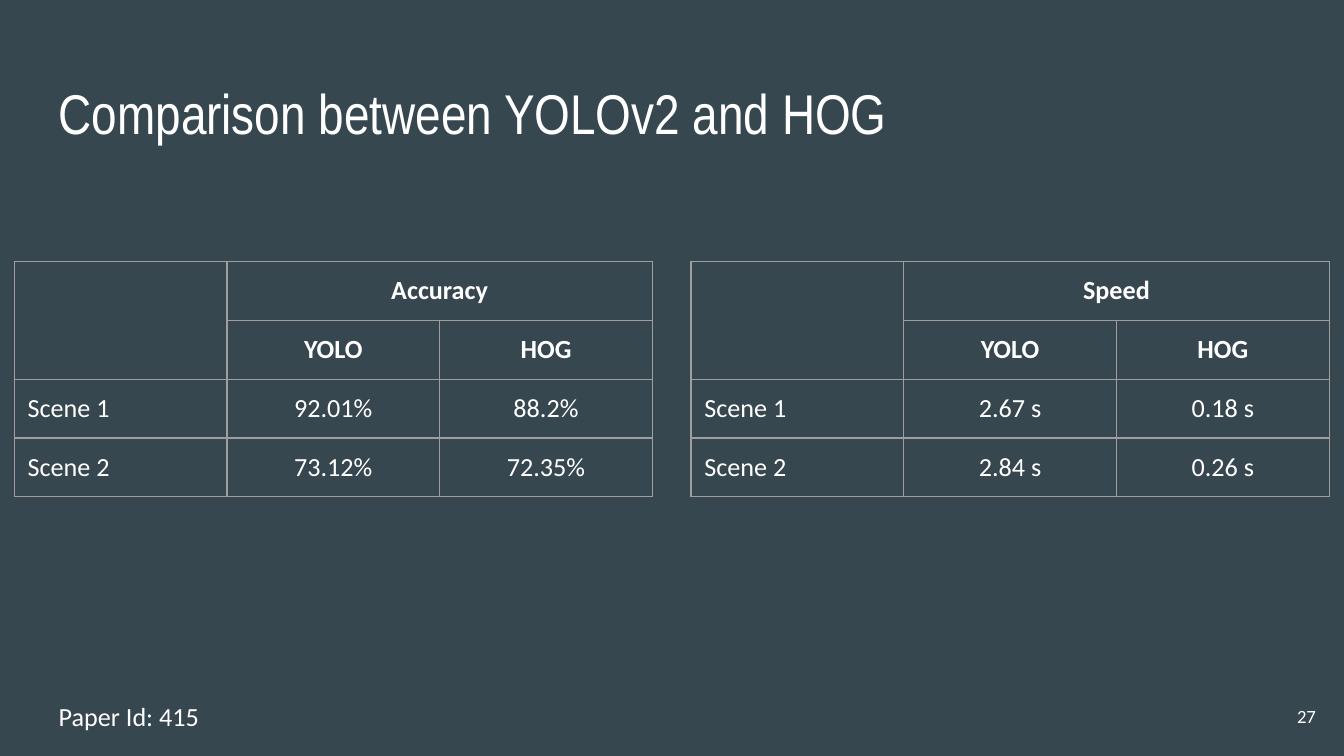
from pptx import Presentation
from pptx.dml.color import RGBColor
from pptx.enum import text
from pptx.oxml import parse_xml
from pptx.oxml.ns import nsdecls
from pptx.util import Cm, Pt

BACKGROUND, WHITE, BORDER = "37474F", "FFFFFF", "9E9E9E"
PADDING = Cm(0.25)
LEFT, CENTER, RIGHT = text.PP_ALIGN.LEFT, text.PP_ALIGN.CENTER, text.PP_ALIGN.RIGHT
TOP, MIDDLE = text.MSO_ANCHOR.TOP, text.MSO_ANCHOR.MIDDLE

TITLE = "Comparison between YOLOv2 and HOG"
PAPER_ID = "Paper Id: 415"
PAGE_NUMBER = "27"
METHODS = ["YOLO", "HOG"]
MEASURES = [
    ("Accuracy", [("Scene 1", "92.01%", "88.2%"), ("Scene 2", "73.12%", "72.35%")]),
    ("Speed", [("Scene 1", "2.67 s", "0.18 s"), ("Scene 2", "2.84 s", "0.26 s")]),
]

TABLE_LEFT, TABLE_TOP, TABLE_STEP = 0.27, 4.95, 12.79
COLUMN_WIDTH, ROW_HEIGHT = 4.02, 1.11


def color(hex_code):
    return RGBColor.from_string(hex_code)


def pad(box):
    """Give a text frame or table cell the same inset on every side."""
    box.margin_left = box.margin_right = box.margin_top = box.margin_bottom = PADDING


def write(frame, wording, size, align=LEFT, bold=False, font_name="Calibri"):
    frame.text = wording
    paragraph = frame.paragraphs[0]
    paragraph.alignment = align
    font = paragraph.runs[0].font
    font.name, font.size, font.bold = font_name, Pt(size), bold
    font.color.rgb = color(WHITE)


def place(shape, left, top, width, height, anchor=TOP):
    shape.left, shape.top = Cm(left), Cm(top)
    shape.width, shape.height = Cm(width), Cm(height)
    frame = shape.text_frame
    frame.word_wrap = True
    frame.auto_size = text.MSO_AUTO_SIZE.NONE
    frame.vertical_anchor = anchor
    pad(frame)
    return frame


def outline(cell):
    """Clear the cell's fill and draw a thin line on its four sides."""
    cell.fill.background()
    properties = cell._tc.get_or_add_tcPr()
    for index, side in enumerate(("lnL", "lnR", "lnT", "lnB")):
        properties.insert(index, parse_xml(
            f'<a:{side} {nsdecls("a")} w="{Pt(0.75)}"><a:solidFill>'
            f'<a:srgbClr val="{BORDER}"/></a:solidFill></a:{side}>'))


def add_measure_table(slide, left, measure, scenes):
    rows = [("", measure, ""), ("", *METHODS), *scenes]
    columns = len(rows[0])
    table = slide.shapes.add_table(
        len(rows), columns, Cm(left), Cm(TABLE_TOP),
        Cm(COLUMN_WIDTH * columns), Cm(ROW_HEIGHT * len(rows))).table
    table.first_row = table.horz_banding = False
    for r, row in enumerate(rows):
        for c, wording in enumerate(row):
            cell = table.cell(r, c)
            outline(cell)
            if wording:
                pad(cell)
                write(cell.text_frame, wording, 14, CENTER if c else LEFT, bold=r < 2)
    table.cell(0, 0).merge(table.cell(1, 0))
    table.cell(0, 1).merge(table.cell(0, 2))


presentation = Presentation()
presentation.slide_width, presentation.slide_height = Cm(25.4), Cm(14.29)
slide = presentation.slides.add_slide(presentation.slide_layouts[5])
slide.background.fill.solid()
slide.background.fill.fore_color.rgb = color(BACKGROUND)

write(place(slide.shapes.title, 0.86, 1.24, 23.67, 1.6), TITLE, 30, font_name="Arial Narrow")

for index, (measure, scenes) in enumerate(MEASURES):
    add_measure_table(slide, TABLE_LEFT + index * TABLE_STEP, measure, scenes)

page_number = slide.shapes.add_textbox(0, 0, 0, 0)
write(place(page_number, 23.6, 13, 1.52, 1.09, MIDDLE), PAGE_NUMBER, 10, RIGHT)
paper_id = slide.shapes.add_textbox(0, 0, 0, 0)
write(place(paper_id, 0.86, 12.98, 5.26, 1.04), PAPER_ID, 14)

presentation.save("out.pptx")
